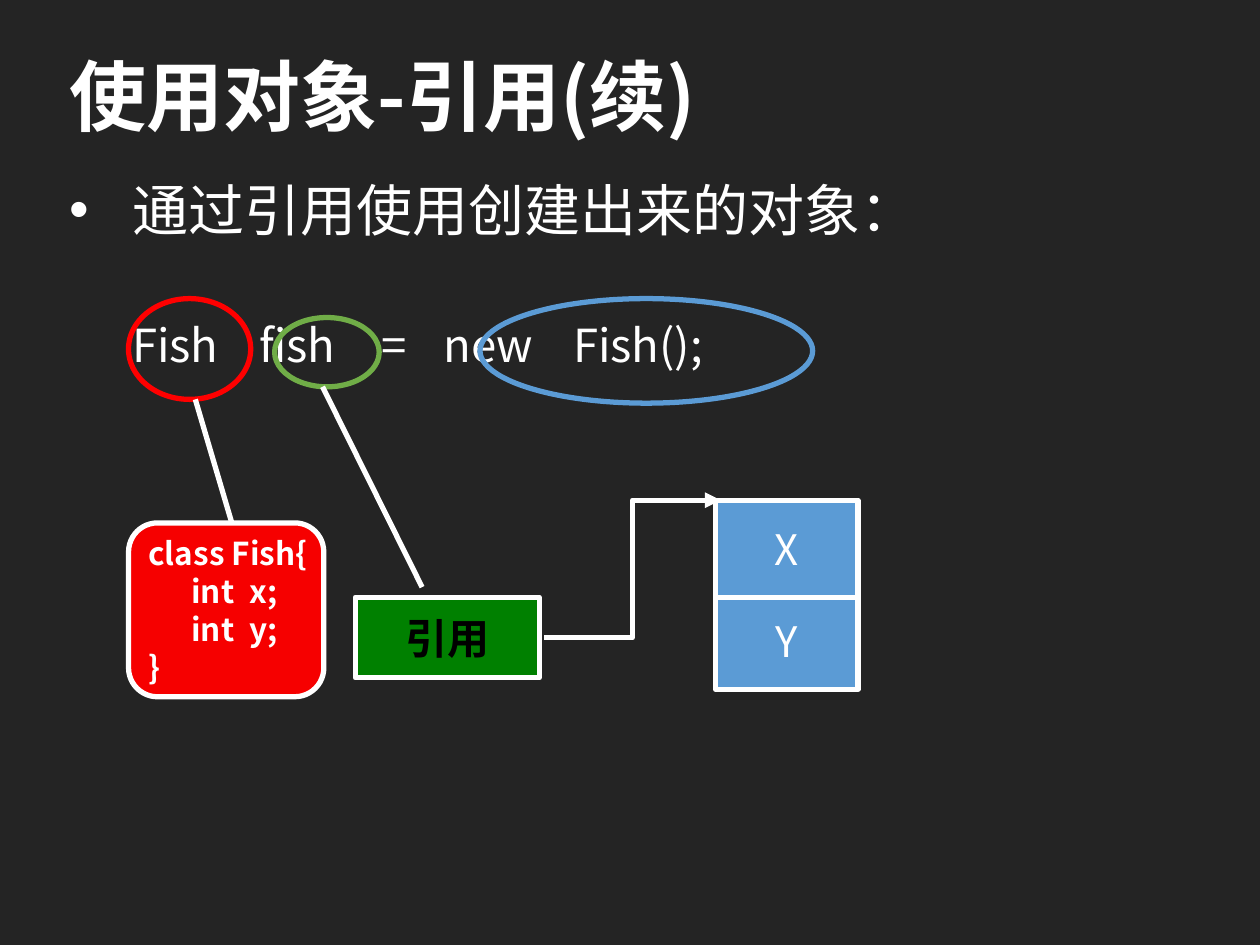
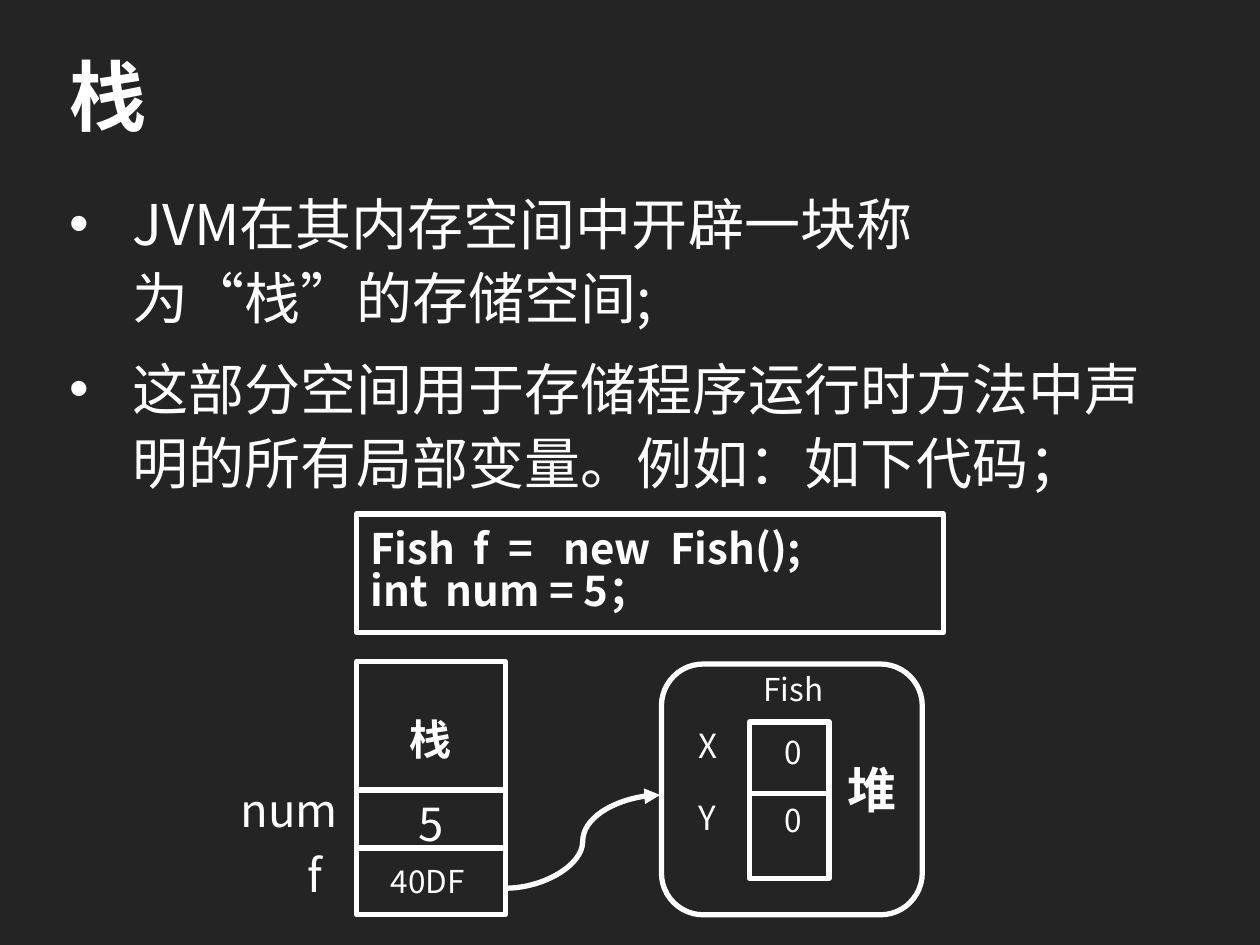
from lxml import etree
from pptx import Presentation
from pptx.dml.color import RGBColor
from pptx.enum.shapes import MSO_CONNECTOR, MSO_SHAPE
from pptx.enum.text import MSO_ANCHOR, MSO_AUTO_SIZE, PP_ALIGN
from pptx.oxml.ns import qn
from pptx.util import Inches, Pt

FONT = "Noto Sans CJK SC"
BACKGROUND = RGBColor(0x24, 0x24, 0x24)
WHITE = RGBColor(0xFF, 0xFF, 0xFF)
BLACK = RGBColor(0, 0, 0)
RED = RGBColor(0xFF, 0, 0)
CLASS_RED = RGBColor(0xF6, 0, 0)
BLUE = RGBColor(0x5B, 0x9B, 0xD5)
LIGHT_GREEN = RGBColor(0x70, 0xAD, 0x47)
DARK_GREEN = RGBColor(0, 0x80, 0)
LINE_WIDTH = Pt(3)
TITLE_BOX = (0.45, 0.23, 9.09, 1.04)
BODY_BOX = (0.45, 1.4, 9.11, 5.55)
INSETS = (0.11, 0.05, 0.11, 0.05)
TITLE_ONLY = 5


def box(at):
    return [Inches(v) for v in at]


def set_tabs(p, stops):
    tab_list = etree.SubElement(p._p.get_or_add_pPr(), qn("a:tabLst"))
    for stop in stops:
        etree.SubElement(tab_list, qn("a:tab"), pos=str(Inches(stop)), algn="l")


def set_bullet(p):
    pPr = p._p.get_or_add_pPr()
    pPr.set("marL", str(Inches(0.5)))
    pPr.set("indent", str(Inches(-0.5)))
    etree.SubElement(pPr, qn("a:buFont"), typeface="Arial")
    etree.SubElement(pPr, qn("a:buChar"), char="•")


def write(tf, lines, size, color=WHITE, bold=False, anchor=MSO_ANCHOR.TOP,
          insets=INSETS, tabs=(), **paragraph_format):
    """Fill a text frame with one paragraph for each line."""
    sides = ("margin_left", "margin_top", "margin_right", "margin_bottom")
    frame_format = dict(zip(sides, box(insets)), word_wrap=True,
                        auto_size=MSO_AUTO_SIZE.NONE, vertical_anchor=anchor)
    for name, value in frame_format.items():
        setattr(tf, name, value)
    paragraph_format = {"alignment": PP_ALIGN.LEFT, **paragraph_format}
    for i, line in enumerate(lines):
        p = tf.add_paragraph() if i else tf.paragraphs[0]
        p.text = line
        for name, value in paragraph_format.items():
            setattr(p, name, value)
        if tabs:
            set_tabs(p, tabs[i])
        for r in p.runs:
            for name, value in dict(name=FONT, size=Pt(size), bold=bold).items():
                setattr(r.font, name, value)
            r.font.color.rgb = color
            latin = r._r.get_or_add_rPr().find(qn("a:latin"))
            east_asian = etree.Element(qn("a:ea"), typeface=FONT)
            latin.addnext(east_asian)
    return tf


def add_titled_slide(prs, title):
    s = prs.slides.add_slide(prs.slide_layouts[TITLE_ONLY])
    sp = s.shapes.title
    sp.left, sp.top, sp.width, sp.height = box(TITLE_BOX)
    write(sp.text_frame, [title], 44, bold=True, anchor=MSO_ANCHOR.MIDDLE,
          insets=(0.1, 0.05, 0.1, 0.05))
    return s


def add_text(s, at, lines, size, **text_format):
    return write(s.shapes.add_textbox(*box(at)).text_frame, lines, size, **text_format)


def add_bullets(s, lines, line_spacing):
    tf = add_text(s, BODY_BOX, lines, 32, insets=(0.1, 0.05, 0.1, 0.05),
                  line_spacing=line_spacing, space_before=Pt(10))
    for p in tf.paragraphs:
        set_bullet(p)


def add_box(s, kind, at, fill=None, line=WHITE, lines=(), size=24, **text_format):
    sp = s.shapes.add_shape(kind, *box(at))
    sp.shadow.inherit = False
    if fill is None:
        sp.fill.background()
    else:
        sp.fill.solid()
        sp.fill.fore_color.rgb = fill
    sp.line.color.rgb = line
    sp.line.width = LINE_WIDTH
    if lines:
        write(sp.text_frame, lines, size, **text_format)


def add_line(s, start, end, kind=MSO_CONNECTOR.STRAIGHT, arrow=False):
    c = s.shapes.add_connector(kind, *box(start + end))
    c.line.color.rgb = WHITE
    c.line.width = LINE_WIDTH
    if arrow:
        etree.SubElement(c.line._get_or_add_ln(), qn("a:tailEnd"), type="triangle")
    etree.SubElement(c._element.spPr, qn("a:effectLst"))


def build_reference_slide(prs):
    s = add_titled_slide(prs, "使用对象-引用(续)")
    add_bullets(s, ["通过引用使用创建出来的对象："], 0.9)
    add_text(s, (0.95, 2.47, 6, 0.62), ["Fish\tfish\t=\tnew\tFish();"], 26,
             insets=(0.1, 0.05, 0.1, 0.05), tabs=[(1.01, 1.98, 2.47, 3.5)])

    for at, color in (((1.02, 2.37, 0.97, 0.8), RED),
                      ((3.81, 2.37, 2.64, 0.83), BLUE),
                      ((2.18, 2.52, 0.83, 0.55), LIGHT_GREEN)):
        add_box(s, MSO_SHAPE.OVAL, at, line=color)

    field_tabs = (0.34, 0.8)
    add_box(s, MSO_SHAPE.FLOWCHART_ALTERNATE_PROCESS, (1.02, 4.15, 1.55, 1.38),
            CLASS_RED, lines=["class Fish{", "\tint\tx;", "\tint\ty;", "}"], size=18,
            bold=True, anchor=MSO_ANCHOR.MIDDLE, insets=(0.09, 0.05, 0, 0.05),
            tabs=[field_tabs] * 4)
    add_box(s, MSO_SHAPE.RECTANGLE, (5.68, 3.97, 1.13, 1.5), BLUE, lines=["X", "Y"],
            anchor=MSO_ANCHOR.MIDDLE, alignment=PP_ALIGN.CENTER, space_before=Pt(24))
    add_box(s, MSO_SHAPE.FLOWCHART_PROCESS, (2.82, 4.74, 1.46, 0.64), DARK_GREEN,
            lines=["引用"], color=BLACK, bold=True, anchor=MSO_ANCHOR.MIDDLE,
            alignment=PP_ALIGN.CENTER)

    add_line(s, (5.68, 4.74), (6.81, 4.74))
    add_line(s, (2.56, 3.07), (3.35, 4.66))
    add_line(s, (1.55, 3.17), (1.84, 4.15))
    add_line(s, (4.32, 5.06), (5.72, 3.97), MSO_CONNECTOR.ELBOW, arrow=True)


def build_stack_slide(prs):
    s = add_titled_slide(prs, "栈")
    add_bullets(s, ["JVM在其内存空间中开辟一块称\v为“栈”的存储空间;",
                    "这部分空间用于存储程序运行时方法中声明的所有局部变量。例如：如下代码；"], 1.1)
    add_box(s, MSO_SHAPE.RECTANGLE, (2.83, 4.08, 4.66, 0.94),
            lines=["Fish\tf\t=\tnew\tFish();", "int\tnum = 5；"], bold=True,
            line_spacing=0.83, anchor=MSO_ANCHOR.MIDDLE,
            tabs=[(0.82, 1.1, 1.53, 2.38), (0.6,)])

    add_box(s, MSO_SHAPE.FLOWCHART_PROCESS, (2.83, 5.25, 1.18, 2.01), lines=["栈"],
            bold=True, anchor=MSO_ANCHOR.MIDDLE, alignment=PP_ALIGN.CENTER,
            insets=(0.11, 0.05, 0.11, 0.83))
    add_box(s, MSO_SHAPE.FLOWCHART_ALTERNATE_PROCESS, (5.25, 5.27, 2.07, 1.99),
            lines=["堆"], size=28, bold=True, anchor=MSO_ANCHOR.MIDDLE,
            alignment=PP_ALIGN.RIGHT)
    add_box(s, MSO_SHAPE.FLOWCHART_PROCESS, (5.95, 5.73, 0.63, 1.24))

    for left, right, y in ((5.95, 6.58, 6.3), (2.83, 4.01, 6.73), (2.83, 4.01, 6.27)):
        add_line(s, (left, y), (right, y))
    add_line(s, (4.01, 7.05), (5.24, 6.31), MSO_CONNECTOR.CURVE, arrow=True)

    add_text(s, (5.43, 5.71, 0.52, 1.1), ["X", "Y"], 19, space_before=Pt(18))
    add_text(s, (6.12, 5.77, 0.5, 1.04), ["0", "0"], 18, space_before=Pt(17))
    for at, label, size in (((2.99, 6.79, 1.01, 0.42), "40DF", 18),
                            ((5.95, 5.27, 0.99, 0.42), "Fish", 18),
                            ((2.33, 6.67, 0.35, 0.57), "f", 26),
                            ((3.21, 6.27, 0.39, 0.57), "5", 26),
                            ((1.8, 6.16, 1.07, 0.57), "num", 26)):
        add_text(s, at, [label], size)


def main():
    prs = Presentation()
    prs.slide_width, prs.slide_height = Inches(10), Inches(7.5)
    fill = prs.slide_master.background.fill
    fill.solid()
    fill.fore_color.rgb = BACKGROUND
    build_reference_slide(prs)
    build_stack_slide(prs)
    prs.save("out.pptx")


if __name__ == "__main__":
    main()
